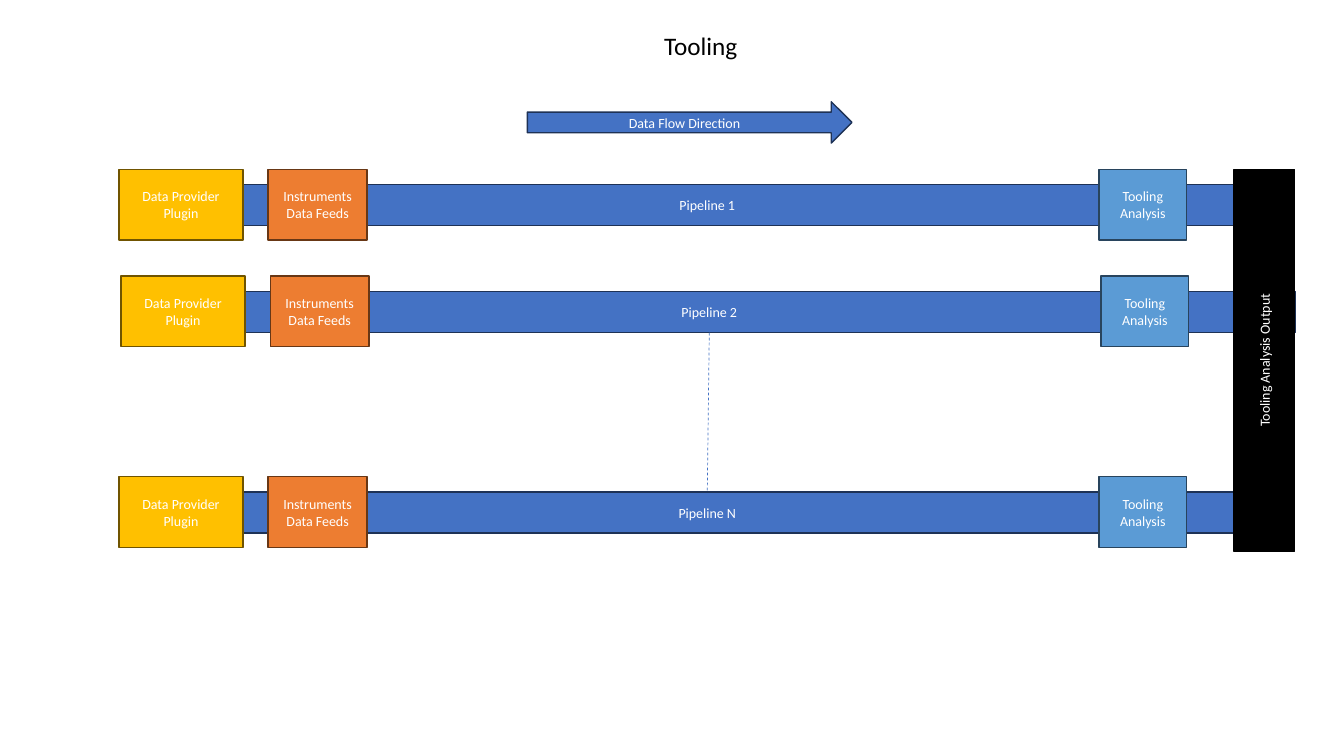
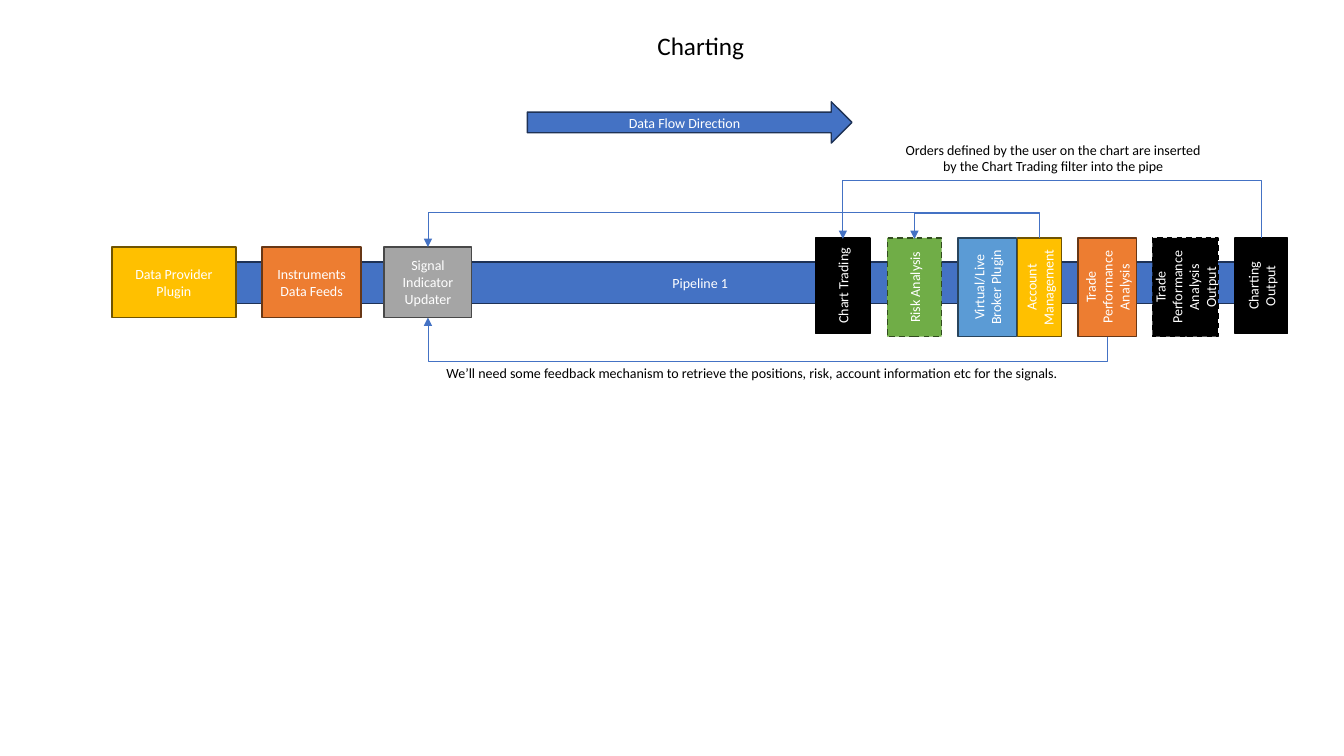
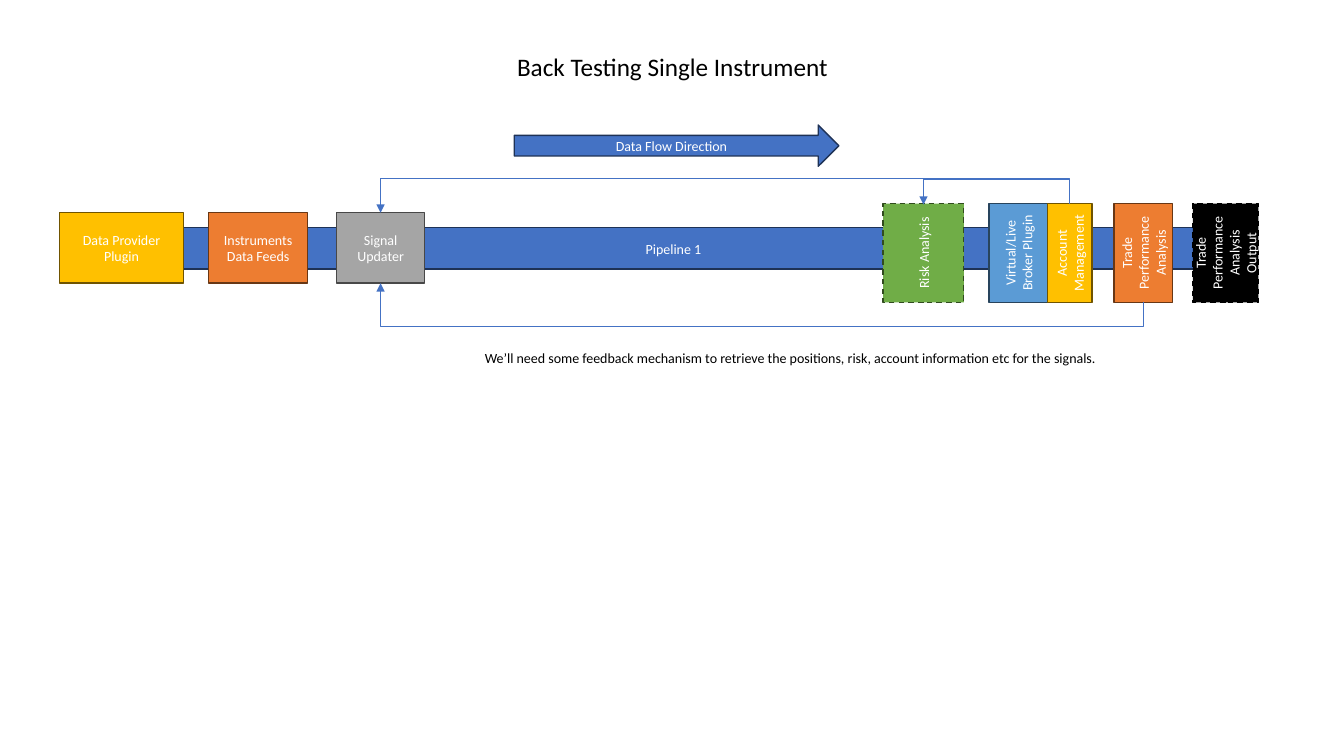
"""Build three pipeline diagrams: tooling, charting and back testing."""
from dataclasses import dataclass, field

from pptx import Presentation
from pptx import util as u
from pptx.dml.color import RGBColor
from pptx.enum import dml, shapes, text
from pptx.oxml import ns, xmlchemy


@dataclass(frozen=True)
class Theme:
    """Hold the colours, type sizes and line widths of the deck."""
    font: str = "Calibri"
    title: int = 18
    body: int = 10
    ink: str = "000000"
    paper: str = "FFFFFF"
    edge: float = 1
    wire: float = 0.5
    kinds: dict = field(default_factory=lambda: {
        "pipe": ("4472C4", "1E3256"),
        "source": ("FFC000", "705400"),
        "feed": ("ED7D31", "683715"),
        "tool": ("5B9BD5", "28445D"),
        "signal": ("A5A5A5", "484848"),
        "risk": ("70AD47", "314C1F"),
        "output": ("000000", "000000"),
    })


@dataclass(frozen=True)
class Stage:
    """Describe one box on a pipeline, offset from the pipeline's left."""
    label: str
    dx: float
    w: float
    kind: str
    tall: bool = False
    h: float = 0.98
    dashed: bool = False


T = Theme()
PIPE_H = 0.41
BOX_H, BOX_RISE = 0.7, 0.15
TALL_RISE = 0.24
TOP, BOTTOM = 0, 2
PROVIDER, FEEDS = "Data Provider Plugin", "Instruments\nData Feeds"
BROKER, ACCOUNT = "Virtual/Live Broker Plugin", "Account\nManagement"
RISK, TRADE = "Risk Analysis", "Trade\nPerformance\nAnalysis"
TRADE_OUT = "Trade Performance Analysis Output"
FEEDBACK = ("We’ll need some feedback mechanism to retrieve the positions, "
            "risk, account information etc for the signals.")


def inches(*values):
    """Convert numbers to lengths."""
    return [u.Inches(v) for v in values]


def write(sp, label, color, size=T.body, align=text.PP_ALIGN.CENTER,
          anchor=text.MSO_ANCHOR.MIDDLE, spacing=None):
    """Fill a shape with text in the deck's font."""
    tf = sp.text_frame
    tf.text = label
    tf.word_wrap = True
    tf.vertical_anchor = anchor
    for p in tf.paragraphs:
        for name, value in {"alignment": align, "line_spacing": spacing}.items():
            setattr(p, name, value)
        for r in p.runs:
            for name, value in {"name": T.font, "size": u.Pt(size)}.items():
                setattr(r.font, name, value)
            r.font.color.rgb = RGBColor.from_string(color)


def block(s, box, label, kind, preset=shapes.MSO_SHAPE.RECTANGLE,
          tall=False, dashed=False):
    """Draw a filled, labelled shape of a given kind."""
    sp = s.shapes.add_shape(preset, *inches(*box))
    fill, edge = T.kinds[kind]
    sp.shadow.inherit = False
    sp.fill.solid()
    sp.fill.fore_color.rgb = RGBColor.from_string(fill)
    sp.line.color.rgb = RGBColor.from_string(edge)
    sp.line.width = u.Pt(T.edge)
    if dashed:
        sp.line.dash_style = dml.MSO_LINE.DASH
    write(sp, label, T.paper)
    if tall:
        sp.text_frame._txBody.bodyPr.set("vert", "vert270")
    return sp


def caption(s, box, label, **style):
    """Place plain text in a box."""
    write(s.shapes.add_textbox(*inches(*box)), label, T.ink, **style)


def header(s, title, title_box, arrow_at):
    """Place the title and the flow direction arrow."""
    caption(s, title_box, title, size=T.title, spacing=0.9)
    block(s, (*arrow_at, 3.22, PIPE_H), "Data Flow Direction", "pipe",
          shapes.MSO_SHAPE.RIGHT_ARROW)


def pipeline(s, x, y, w, label, stages):
    """Draw a pipeline with its stages and return the shapes by label."""
    made = {label: block(s, (x, y, w, PIPE_H), label, "pipe")}
    for st in stages:
        rise, h = (TALL_RISE, st.h) if st.tall else (BOX_RISE, BOX_H)
        made[st.label] = block(s, (x + st.dx, y - rise, st.w, h), st.label,
                               st.kind, tall=st.tall, dashed=st.dashed)
    return made


def wire(s, kind, start, start_site, end, end_site):
    """Connect two shapes with a thin line."""
    c = s.shapes.add_connector(kind, 0, 0, 0, 0)
    c.begin_connect(start, start_site)
    c.end_connect(end, end_site)
    c.line.color.rgb = RGBColor.from_string(T.kinds["pipe"][0])
    c.line.width = u.Pt(T.wire)
    xmlchemy.OxmlElement
    c._element.spPr.append(xmlchemy.OxmlElement("a:effectLst"))
    return c


def loop(s, start, end, lane, site=TOP):
    """Route an arrow between two shapes along a lane above or below them."""
    c = wire(s, shapes.MSO_CONNECTOR.ELBOW, start, site, end, site)
    x0, x1 = (sp.left + sp.width // 2 for sp in (start, end))
    y0, y1 = (sp.top + (sp.height if site == BOTTOM else 0)
              for sp in (start, end))
    dx, dy = x1 - x0, (y1 - y0) or u.Inches(0.01)
    w, h = abs(dy), abs(dx)
    for name, value in {"left": (x0 + x1 - w) // 2,
                        "top": (2 * y0 + dy - h) // 2,
                        "width": w, "height": h}.items():
        setattr(c, name, value)
    turn = 1 if site == BOTTOM else -1
    xfrm = c._element.spPr.find(ns.qn("a:xfrm"))
    for name, value in {"rot": 5400000 if turn > 0 else 16200000,
                        "flipH": int(dy * turn < 0),
                        "flipV": int(dx * turn > 0)}.items():
        xfrm.set(name, str(value))
    geom = c._element.spPr.find(ns.qn("a:prstGeom"))
    guides = geom.find(ns.qn("a:avLst"))
    if guides is None:
        guides = xmlchemy.OxmlElement("a:avLst")
        geom.append(guides)
    gd = xmlchemy.OxmlElement("a:gd")
    gd.set("name", "adj1")
    gd.set("fmla", f"val {round((u.Inches(lane) - y0) / dy * 100000)}")
    guides.append(gd)
    tail = xmlchemy.OxmlElement("a:tailEnd")
    tail.set("type", "triangle")
    c.line._get_or_add_ln().append(tail)


def feedback(s, made, signal, upper, lower, note_at):
    """Draw the feedback arrows and their note."""
    loop(s, made[ACCOUNT], made[RISK], upper)
    loop(s, made[ACCOUNT], made[signal], upper)
    loop(s, made[TRADE], made[signal], lower, BOTTOM)
    caption(s, (*note_at, 6.67, 0.27), FEEDBACK, align=text.PP_ALIGN.LEFT,
            anchor=text.MSO_ANCHOR.TOP)


def tooling(s):
    """Build the tooling slide."""
    header(s, "Tooling", (1.2, 0.24, 11.5, 0.46), (5.23, 1.01))
    stages = [Stage(PROVIDER, -0.02, 1.23, "source"),
              Stage(FEEDS, 1.46, 0.98, "feed"),
              Stage("Tooling\nAnalysis", 9.7, 0.87, "tool")]
    bars = []
    for number, x, y in (("1", 1.2, 1.83), ("2", 1.22, 2.89), ("N", 1.2, 4.88)):
        label = f"Pipeline {number}"
        bars.append(pipeline(s, x, y, 11.63, label, stages)[label])
    c = wire(s, shapes.MSO_CONNECTOR.STRAIGHT, bars[1], BOTTOM, bars[2], TOP)
    c.line.dash_style = dml.MSO_LINE.DASH
    block(s, (12.24, 1.68, 0.6, 3.79), "Tooling Analysis Output", "output",
          tall=True)


def charting(s):
    """Build the charting slide."""
    header(s, "Charting", (1.2, 0.24, 11.5, 0.46), (5.23, 1.01))
    signal, trading, chart = ("Signal Indicator Updater", "Chart Trading",
                              "Charting Output")
    made = pipeline(s, 1.13, 2.6, 11.63, "Pipeline 1", [
        Stage(PROVIDER, -0.02, 1.23, "source"),
        Stage(FEEDS, 1.47, 0.98, "feed"),
        Stage(signal, 2.68, 0.87, "signal"),
        Stage(trading, 6.96, 0.54, "output", True, 0.95),
        Stage(RISK, 7.67, 0.54, "risk", True, dashed=True),
        Stage(BROKER, 8.37, 0.58, "tool", True),
        Stage(ACCOUNT, 8.96, 0.44, "source", True),
        Stage(TRADE, 9.56, 0.58, "feed", True),
        Stage(TRADE_OUT, 10.3, 0.65, "output", True, dashed=True),
        Stage(chart, 11.12, 0.52, "output", True, 0.95)])
    feedback(s, made, signal, 2.11, 3.58, (4.33, 3.57))
    loop(s, made[chart], made[trading], 1.78)
    caption(s, (8.88, 1.35, 3.13, 0.44),
            "Orders defined by the user on the chart are inserted by the "
            "Chart Trading filter into the pipe", anchor=text.MSO_ANCHOR.TOP)


def back_testing(s):
    """Build the back testing slide."""
    header(s, "Back Testing Single Instrument", (0.92, 0.4, 11.5, 0.55),
           (5.1, 1.24))
    signal = "Signal\nUpdater"
    made = pipeline(s, 1.08, 2.26, 11.2, "Pipeline 1", [
        Stage(PROVIDER, -0.49, 1.23, "source"),
        Stage(FEEDS, 0.99, 0.98, "feed"),
        Stage(signal, 2.26, 0.87, "signal"),
        Stage(RISK, 7.68, 0.8, "risk", True, dashed=True),
        Stage(BROKER, 8.73, 0.58, "tool", True),
        Stage(ACCOUNT, 9.31, 0.44, "source", True),
        Stage(TRADE, 9.97, 0.58, "feed", True),
        Stage(TRADE_OUT, 10.75, 0.65, "output", True, dashed=True)])
    feedback(s, made, signal, 1.77, 3.24, (4.71, 3.42))


def main():
    """Build the deck and save it."""
    prs = Presentation()
    prs.slide_width, prs.slide_height = inches(13.33, 7.5)
    for build in (tooling, charting, back_testing):
        build(prs.slides.add_slide(prs.slide_layouts[6]))
    prs.save("out.pptx")


if __name__ == "__main__":
    main()
